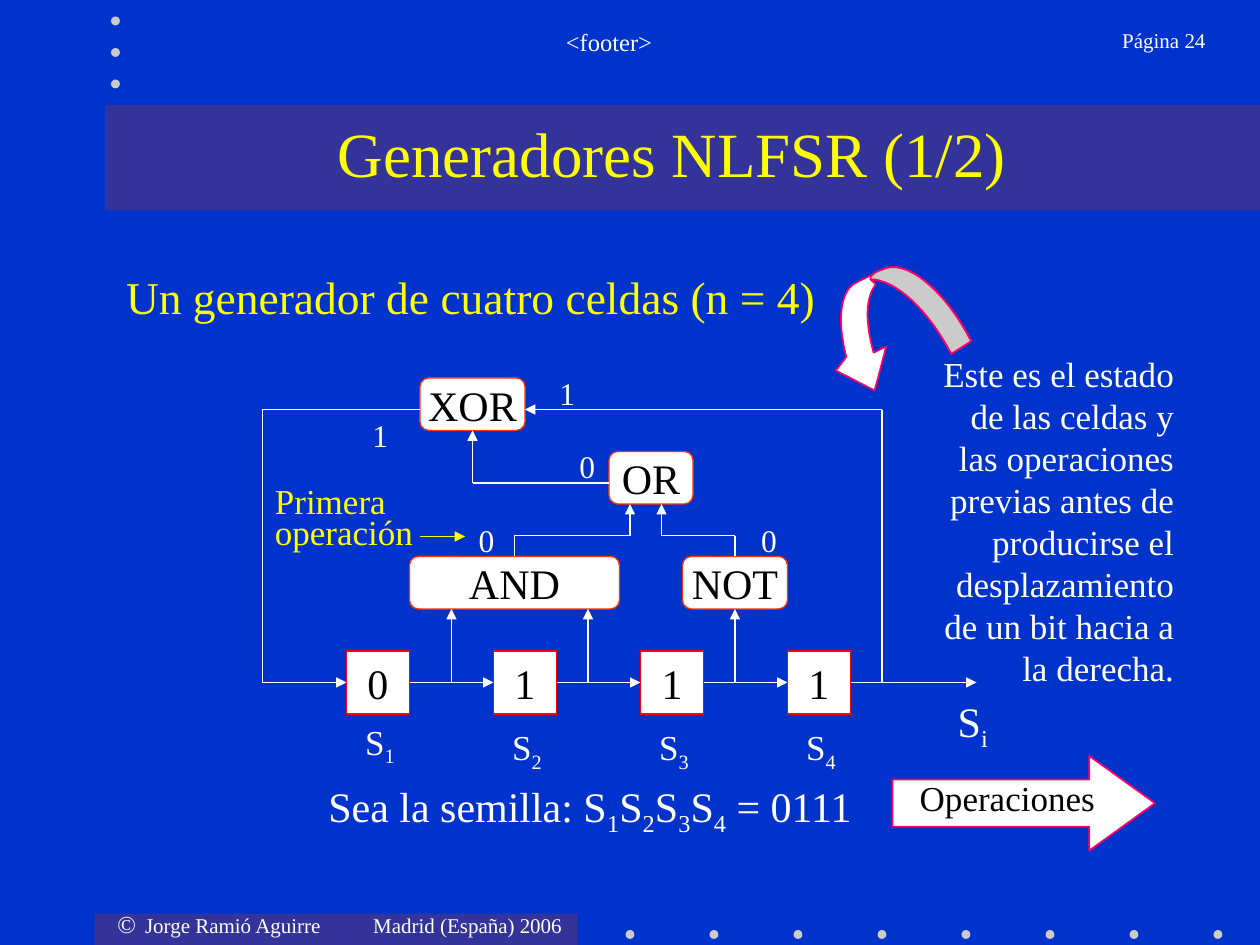
from lxml.etree import SubElement
from pptx import Presentation
from pptx.dml.color import RGBColor
from pptx.enum.shapes import MSO_CONNECTOR as CONN, MSO_SHAPE as SHAPE
from pptx.enum.text import MSO_ANCHOR as ANCHOR, PP_ALIGN as ALIGN
from pptx.oxml.ns import qn
from pptx.util import Inches, Pt

COLORS = {
    "bg": "0033CC", "bar": "333399", "dot": "CBCBCB", "white": "FFFFFF",
    "black": "000000", "yellow": "FFFF00", "gate": "FF3300", "cell": "FF0000",
    "pink": "FF0066",
}
COLS = 120  # the slide is a grid of 120 columns by 90 rows
FONT = "Times New Roman"


def rgb(name):
    return RGBColor.from_string(COLORS[name])


def bezier(p0, p1, p2, p3, steps=16):
    """Points along a cubic curve, without its start."""
    for i in range(1, steps + 1):
        t = i / steps
        yield tuple((1 - t) ** 3 * a + 3 * t * (1 - t) ** 2 * b
                    + 3 * t * t * (1 - t) * c + t ** 3 * d
                    for a, b, c, d in zip(p0, p1, p2, p3))


class Board:
    def __init__(self, prs):
        self.unit = prs.slide_width / COLS
        self.s = prs.slides.add_slide(prs.slide_layouts[1])
        self.s.background.fill.solid()
        self.s.background.fill.fore_color.rgb = rgb("bg")

    def u(self, *values):
        return [round(v * self.unit) for v in values]

    def add_run(self, p, text, size, color="white"):
        """A text starting with "_" is a subscript."""
        r = p.add_run()
        r.text = text.lstrip("_")
        r.font.name, r.font.size = FONT, Pt(size)
        r.font.color.rgb = rgb(color)
        if text.startswith("_"):
            r.font._element.set("baseline", "-25000")

    def fill_text(self, sp, runs, size, color="white", align=ALIGN.CENTER,
                  anchor=ANCHOR.MIDDLE, wrap=False, spacing=None):
        tf = sp.text_frame
        tf.word_wrap, tf.vertical_anchor = wrap, anchor
        p = tf.paragraphs[0]
        p.alignment, p.space_before = align, Pt(0)
        if spacing:
            p.line_spacing = spacing
        for text in [runs] if isinstance(runs, str) else runs:
            self.add_run(p, text, size, color)
        return p

    def placeholder(self, index, box, runs, size, **style):
        sp = self.s.placeholders[index]
        sp.left, sp.top, sp.width, sp.height = self.u(*box)
        self.s.shapes._spTree.append(sp._element)  # in front of the bars
        return self.fill_text(sp, runs, size, "yellow", wrap=True, **style)

    def text(self, box, runs, size, **style):
        sp = self.s.shapes.add_textbox(*self.u(*box))
        return self.fill_text(sp, runs, size, **style)

    def paint(self, sp, fill, line=None, width=0.75):
        sp.shadow.inherit = False
        sp.fill.solid()
        sp.fill.fore_color.rgb = rgb(fill)
        if line:
            sp.line.color.rgb, sp.line.width = rgb(line), Pt(width)
        else:
            sp.line.fill.background()

    def shape(self, kind, box, fill="white", line=None, width=0.75, adj=()):
        sp = self.s.shapes.add_shape(kind, *self.u(*box))
        for i, value in enumerate(adj):
            sp.adjustments[i] = value
        self.paint(sp, fill, line, width)
        return sp

    def dot(self, x, y, d=0.85):
        self.shape(SHAPE.OVAL, (x - d / 2, y - d / 2, d, d), "dot")

    def wire(self, *points, color="white", width=0.75):
        """Straight lines through the points, with an arrowhead at the end."""
        for a, b in zip(points, points[1:]):
            c = self.s.shapes.add_connector(CONN.STRAIGHT, *self.u(*a, *b))
            c.line.color.rgb, c.line.width = rgb(color), Pt(width)
            spPr = c._element.spPr
            if b is points[-1]:
                SubElement(spPr.find(qn("a:ln")), qn("a:tailEnd"), type="triangle")
            SubElement(spPr, qn("a:effectLst"))

    def outline(self, start, segments, fill):
        """A segment is one point (line) or three points (curve)."""
        points = [start]
        for seg in segments:
            points += bezier(points[-1], *seg) if len(seg) == 3 else seg
        fb = self.s.shapes.build_freeform(*self.u(*start), scale=1.0)
        fb.add_line_segments([tuple(self.u(*pt)) for pt in points[1:]], close=True)
        self.paint(fb.convert_to_shape(), fill, "pink", 1)


def main():
    prs = Presentation()
    prs.slide_width, prs.slide_height = Inches(10), Inches(7.5)
    b = Board(prs)

    # Bars and dots
    b.shape(SHAPE.RECTANGLE, (9, 87, 46, 3), "bar")
    b.shape(SHAPE.RECTANGLE, (10, 10, 110, 10), "bar")
    for i in range(8):
        b.dot(60 + 8 * i, 89)
    for y in (2, 5, 8):
        b.dot(11, y)

    # Header and footer
    top = {"anchor": ANCHOR.TOP, "wrap": True}
    b.text((19, 2, 78, 6), "<footer>", 14, **top)
    b.text((99.6, 2, 16.4, 6), "Página 24", 12, align=ALIGN.RIGHT, **top)
    p = b.text((10, 86, 48, 4), "©", 14, align=ALIGN.LEFT, **top)
    tabs = SubElement(p._p.get_or_add_pPr(), qn("a:tabLst"))
    for pos in (0.22, 2.03):
        SubElement(tabs, qn("a:tab"), pos=str(Inches(pos)), algn="l")
    b.add_run(p, "\tJorge Ramió Aguirre\tMadrid (España) 2006", 12)

    # Title and heading
    b.placeholder(0, (10, 10, 108, 9), "Generadores NLFSR (1/2)", 36)
    p = b.placeholder(1, (10.8, 25, 70.2, 8), "Un generador de cuatro celdas (n = 4)",
                      26, align=ALIGN.LEFT, anchor=ANCHOR.TOP)
    pPr = p._p.get_or_add_pPr()
    pPr.set("marL", "0")
    pPr.set("indent", "0")
    SubElement(pPr, qn("a:buNone"))

    # Logic gates
    for name, x, y, w in (("AND", 39, 53, 20), ("XOR", 40, 36, 10),
                          ("NOT", 65, 53, 10), ("OR", 58, 43, 8)):
        sp = b.shape(SHAPE.ROUNDED_RECTANGLE, (x, y, w, 5), line="gate", adj=[0.167])
        b.fill_text(sp, name, 24, "black")

    # Wires: register, taps, gate outputs, feedback
    for x, end in ((39, 47), (53, 61), (67, 75), (81, 93)):
        b.wire((x, 65), (end, 65))
    for x in (43, 56, 70):
        b.wire((x, 65), (x, 58))
    b.wire((49, 53), (49, 51), (60, 51), (60, 48))
    b.wire((70, 53), (70, 51), (63, 51), (63, 48))
    b.wire((58, 46), (45, 46), (45, 41))
    b.wire((84, 65), (84, 39), (50, 39))
    b.wire((40, 39), (25, 39), (25, 65), (33, 65))

    # Register cells and their labels
    for i, bit in enumerate("0111"):
        x = 33 + 14 * i
        sp = b.shape(SHAPE.RECTANGLE, (x, 62, 6, 6), line="cell")
        b.fill_text(sp, bit, 24, "black")
        b.text((x + 0.6, 68.5 if i else 68, 5.4, 5.5), ["S", f"_{i + 1}"], 20,
               align=ALIGN.LEFT, anchor=ANCHOR.TOP)
    b.text((90, 65.6, 5.3, 6.7), ["S", "_i"], 24)
    b.text((30.1, 73.7, 52.6, 6.7),
           ["Sea la semilla: S", "_1", "S", "_2", "S", "_3", "S", "_4", " = 0111"],
           24, align=ALIGN.LEFT)

    # Values on the wires
    for bit, x, y in (("0", 44.4, 49), ("0", 71.3, 49), ("1", 34.3, 39),
                      ("0", 54, 42), ("1", 52.1, 35)):
        b.text((x, y, 3.8, 4.8), bit, 18)

    # Notes
    b.text((88, 33, 25, 32.6),
           "Este es el estado de las celdas y las operaciones previas antes de "
           "producirse el desplazamiento de un bit hacia a la derecha.",
           20, align=ALIGN.RIGHT, **top)
    b.text((25, 46, 16.8, 6.6), "Primera operación", 20, color="yellow",
           align=ALIGN.LEFT, spacing=0.75, **top)
    b.wire((40, 51.1), (44.3, 51.1), color="yellow", width=1)
    sp = b.shape(SHAPE.RIGHT_ARROW, (85, 72, 25, 9), line="pink", width=1,
                 adj=[0.5, 0.694])
    b.fill_text(sp, "Operaciones", 20, "black", spacing=0.65)

    # Curved arrow: the whole ribbon, then its shaded back
    start = (92.5, 32.5)
    outer = [(90, 27.6), (86.2, 24.5), (84, 25.7)]
    inner = [(85.3, 26.6), (88.4, 29.5), (90.6, 33.7)]
    fold = [(82.9, 26.6)]
    front = [
        [(81.6, 26.9)], [(80, 27.6), (79.7, 30.5), (80.6, 34)],
        [(79.6, 35.3)], [(83.3, 37.2)], [(84.4, 33)], [(83.2, 33.6)],
        [(82.4, 30.7), (82.4, 28.4), (83.4, 27.1)],
    ]
    b.outline(start, [outer, *front, fold, inner], "white")
    b.outline(start, [outer, [(83.6, 25.8), (83.2, 26), (82.9, 26.4)], fold, inner],
              "dot")

    prs.save("out.pptx")


if __name__ == "__main__":
    main()
